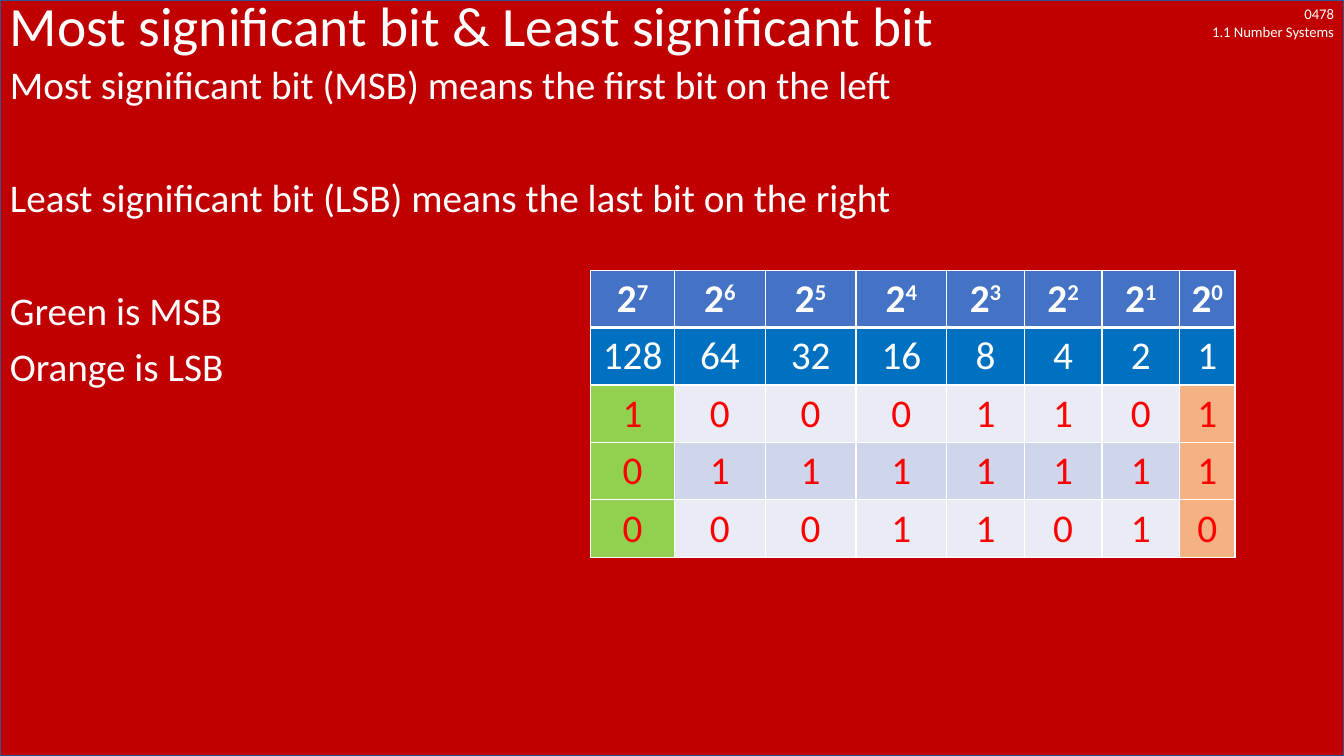
"""Build the slide on most and least significant bits."""
from dataclasses import dataclass

import pptx
import pptx.dml.color
import pptx.enum.shapes
import pptx.enum.text
import pptx.oxml
import pptx.oxml.ns
import pptx.util

ALIGN = pptx.enum.text.PP_ALIGN
ANCHOR = pptx.enum.text.MSO_ANCHOR
WIDTH, HEIGHT = 13.33, 7.5


@dataclass(frozen=True)
class Theme:
    """Hold the colours and type sizes of the slide."""
    font: str = "Calibri"
    white: str = "FFFFFF"
    page: str = "C00000"
    outline: str = "325491"
    header: str = "4472C4"
    weights: str = "0070C0"
    bits: str = "FF0000"
    bands: tuple = ("E9EBF5", "CFD5EA")
    msb: str = "92D050"
    lsb: str = "F4B183"
    title_size: float = 39.6
    body_size: float = 28
    label_size: float = 10.5


THEME = Theme()


def colour(value):
    """Turn a hex string into a colour."""
    return pptx.dml.color.RGBColor.from_string(value)


def add_span(para, text, size, ink=THEME.white, bold=False, raised=False):
    """Add one formatted run to a paragraph."""
    span = para.add_run()
    span.text = text
    span.font.name = THEME.font
    span.font.size = pptx.util.Pt(size)
    span.font.bold = bold
    span.font.color.rgb = colour(ink)
    if raised:
        span._r.get_or_add_rPr().set("baseline", "30000")


def add_text_frame(page, box, anchor=ANCHOR.TOP):
    """Add a wrapping text box and return its frame."""
    frame = page.shapes.add_textbox(*map(pptx.util.Inches, box)).text_frame
    frame.word_wrap = True
    frame.vertical_anchor = anchor
    return frame


def add_backdrop(page, box):
    """Cover the page with an outlined colour field."""
    field = page.shapes.add_shape(
        pptx.enum.shapes.MSO_SHAPE.RECTANGLE, *map(pptx.util.Inches, box))
    field.shadow.inherit = False
    field.fill.solid()
    field.fill.fore_color.rgb = colour(THEME.page)
    field.line.color.rgb = colour(THEME.outline)
    field.line.width = pptx.util.Pt(1)


def add_unit_label(page, box, lines):
    """Write the course label, one line under another."""
    para = add_text_frame(page, box).paragraphs[0]
    para.alignment = ALIGN.RIGHT
    for index, line in enumerate(lines):
        if index:
            para.add_line_break()
        add_span(para, line, THEME.label_size)


def add_title(page, box, text):
    """Write the slide title."""
    para = add_text_frame(page, box, ANCHOR.MIDDLE).paragraphs[0]
    para.line_spacing = 0.9
    add_span(para, text, THEME.title_size)


def add_body(page, box, lines):
    """Write the statements, each with its own space before."""
    frame = add_text_frame(page, box)
    for index, (text, space) in enumerate(lines):
        para = frame.add_paragraph() if index else frame.paragraphs[0]
        para.line_spacing = 0.9
        para.space_before = pptx.util.Pt(space)
        add_span(para, text, THEME.body_size)


def style_cell(cell, fill, top, bottom):
    """Give a cell white borders and a plain fill."""
    properties = cell._tc.get_or_add_tcPr()
    for side, points in (("L", 1), ("R", 1), ("T", top), ("B", bottom)):
        properties.append(pptx.oxml.parse_xml(
            f'<a:ln{side} {pptx.oxml.ns.nsdecls("a")} w="{pptx.util.Pt(points)}">'
            f'<a:solidFill><a:srgbClr val="{THEME.white}"/></a:solidFill></a:ln{side}>'))
    cell.fill.solid()
    cell.fill.fore_color.rgb = colour(fill)


def bit_fill(row, column, last):
    """Choose the fill of a bit by its place in the number."""
    ends = {0: THEME.msb, last: THEME.lsb}
    return ends.get(column, THEME.bands[row % 2])


def add_bit_table(page, box, column_widths, numbers):
    """Draw powers of two, their values and the binary numbers."""
    count, row_count = len(column_widths), len(numbers) + 2
    last = count - 1
    table = page.shapes.add_table(
        row_count, count, *map(pptx.util.Inches, box)).table
    for column, width in enumerate(column_widths):
        table.columns[column].width = pptx.util.Inches(width)
        power = last - column
        entries = [("2", THEME.white, THEME.header),
                   (str(2 ** power), THEME.white, THEME.weights)]
        entries += [(bits[column], THEME.bits, bit_fill(row, column, last))
                    for row, bits in enumerate(numbers)]
        for row, (text, ink, fill) in enumerate(entries):
            cell = table.cell(row, column)
            style_cell(cell, fill, 3 if row == 1 else 1, 3 if row == 0 else 1)
            para = cell.text_frame.paragraphs[0]
            para.alignment = ALIGN.CENTER
            add_span(para, text, THEME.body_size, ink, row == 0)
            if row == 0:
                add_span(para, str(power), THEME.body_size, ink, True, True)


def build_bits_slide(deck):
    """Place all the regions on one blank page."""
    page = deck.slides.add_slide(deck.slide_layouts[6])
    add_backdrop(page, (0, 0, WIDTH, HEIGHT))
    add_unit_label(page, (WIDTH - 2.1, 0, 2.1, 0.45), ("0478", "1.1 Number Systems"))
    add_title(page, (0, 0, WIDTH, 0.56), "Most significant bit & Least significant bit")
    add_body(page, (0, 0.6, WIDTH, HEIGHT - 0.6), (
        ("Most significant bit (MSB) means the first bit on the left", 0),
        ("Least significant bit (LSB) means the last bit on the right", 50.5),
        ("Green is MSB", 50.5),
        ("Orange is LSB", 10)))
    column_widths = [0.83] + [0.9] * 3 + [0.77] * 3 + [0.55]
    add_bit_table(page, (5.86, 2.68, sum(column_widths), 2.85), column_widths,
                  ("10001101", "01111111", "00011010"))


def main():
    """Create and save the deck."""
    deck = pptx.Presentation()
    deck.slide_width = pptx.util.Inches(WIDTH)
    deck.slide_height = pptx.util.Inches(HEIGHT)
    build_bits_slide(deck)
    deck.save("out.pptx")


if __name__ == "__main__":
    main()
